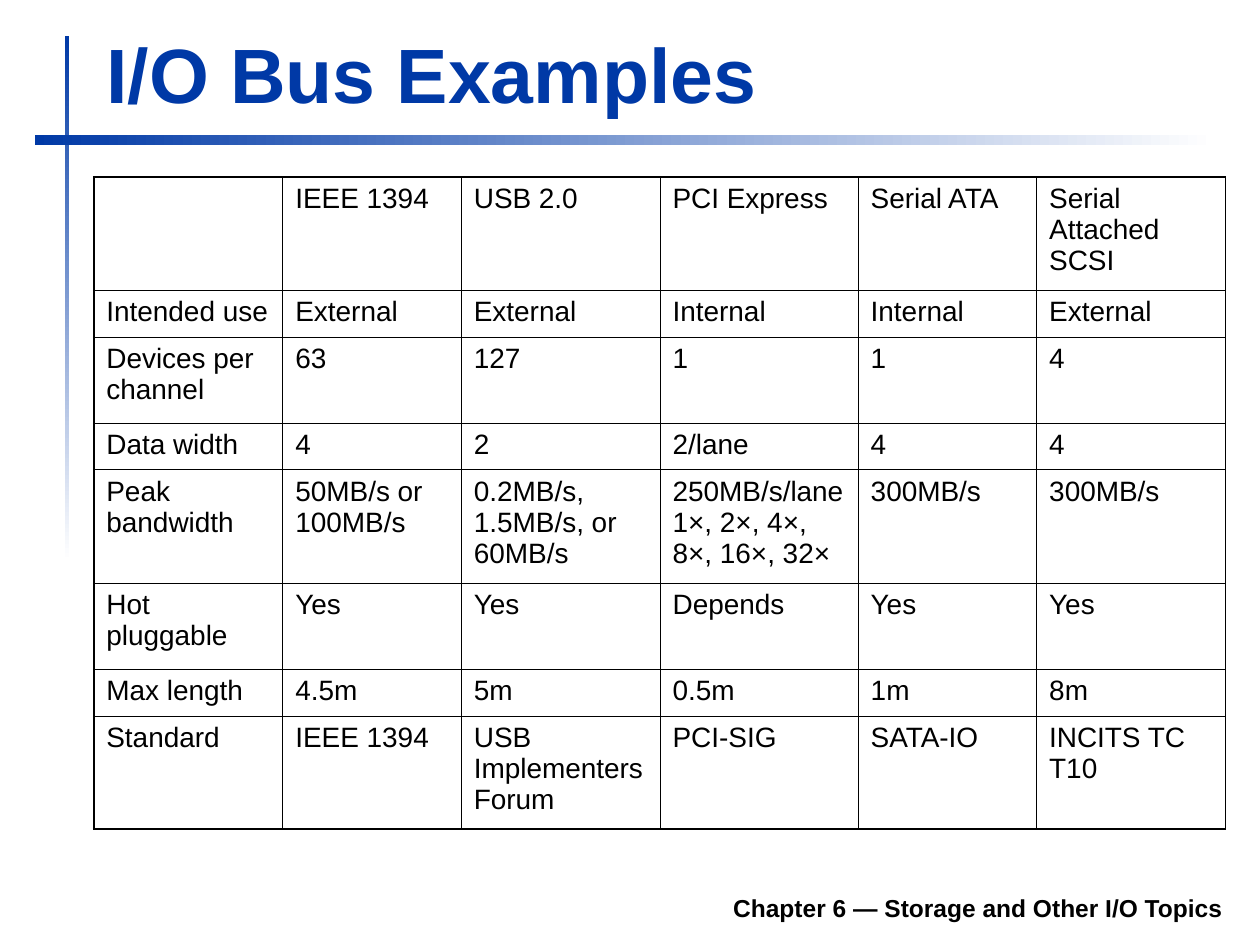
"""Build the I/O bus comparison slide."""
from pptx import Presentation
from pptx.dml.color import RGBColor
from pptx.enum.shapes import MSO_SHAPE
from pptx.enum.text import MSO_ANCHOR as ANCHOR, MSO_AUTO_SIZE as AUTO, PP_ALIGN as ALIGN
from pptx.oxml import parse_xml
from pptx.oxml.ns import nsdecls
from pptx.util import Pt

BLUE, WHITE, BLACK = "0039A6", "FFFFFF", "000000"


def rgb(value):
    return RGBColor.from_string(value)


def add_run(p, text, size, color, bold=False):
    r = p.add_run()
    r.text = text
    r.font.name = "Arial"
    r.font.size = Pt(size)
    r.font.bold = bold
    r.font.color.rgb = rgb(color)


prs = Presentation()
prs.slide_width, prs.slide_height = Pt(720), Pt(540)
s = prs.slides.add_slide(prs.slide_layouts[5])

bars = [
    ((37.1, 20.5, 2.6, 300), (BLUE, WHITE), 270),
    ((20, 77, 674.6, 5.8), (WHITE, BLUE), 180),
]
for box, colors, angle in bars:
    sp = s.shapes.add_shape(MSO_SHAPE.RECTANGLE, *map(Pt, box))
    sp.shadow.inherit = False
    sp.line.fill.background()
    sp.fill.gradient()
    sp.fill.gradient_angle = angle
    for stop, color in zip(sp.fill.gradient_stops, colors):
        stop.color.rgb = rgb(color)

title = s.shapes.title
title.left, title.top, title.width, title.height = map(Pt, (53.6, 11, 650, 60.5))
tf = title.text_frame
tf.auto_size = AUTO.NONE
tf.vertical_anchor = ANCHOR.BOTTOM
p = tf.paragraphs[0]
p.alignment = ALIGN.LEFT
add_run(p, "I/O Bus Examples", 44, BLUE, bold=True)

rows = [
    ["", "IEEE 1394", "USB 2.0", "PCI Express", "Serial ATA", "Serial Attached SCSI"],
    ["Intended use", "External", "External", "Internal", "Internal", "External"],
    ["Devices per channel", "63", "127", "1", "1", "4"],
    ["Data width", "4", "2", "2/lane", "4", "4"],
    ["Peak bandwidth", "50MB/s or 100MB/s", "0.2MB/s, 1.5MB/s, or 60MB/s",
     "250MB/s/lane\n1×, 2×, 4×, 8×, 16×, 32×", "300MB/s", "300MB/s"],
    ["Hot pluggable", "Yes", "Yes", "Depends", "Yes", "Yes"],
    ["Max length", "4.5m", "5m", "0.5m", "1m", "8m"],
    ["Standard", "IEEE 1394", "USB Implementers Forum", "PCI-SIG", "SATA-IO", "INCITS TC T10"],
]
widths = [108, 102, 113.6, 113.2, 102, 108]
heights = [64.8, 26.7, 49.2, 26.7, 64.8, 49.2, 26.7, 64.8]
OUTER, HEADER, INNER = 1.08, 0.75, 0.45
x_rules = [OUTER, HEADER] + [INNER] * (len(widths) - 2) + [OUTER]
y_rules = [OUTER, HEADER] + [INNER] * (len(heights) - 2) + [OUTER]

frame = s.shapes.add_table(len(heights), len(widths), Pt(53.6), Pt(101.1),
                           Pt(sum(widths)), Pt(sum(heights)))
table = frame.table
table.first_row = table.horz_banding = False
for column, width in zip(table.columns, widths):
    column.width = Pt(width)
for row, height in zip(table.rows, heights):
    row.height = Pt(height)

for i, texts in enumerate(rows):
    for j, text in enumerate(texts):
        cell = table.cell(i, j)
        tcPr = cell._tc.get_or_add_tcPr()
        rules = {"L": x_rules[j], "R": x_rules[j + 1], "T": y_rules[i], "B": y_rules[i + 1]}
        for side, weight in rules.items():
            tcPr.append(parse_xml(
                f'<a:ln{side} {nsdecls("a")} w="{Pt(weight)}"><a:solidFill>'
                f'<a:srgbClr val="{BLACK}"/></a:solidFill></a:ln{side}>'))
        cell.fill.background()
        p = cell.text_frame.paragraphs[0]
        for n, line in enumerate(text.split("\n") if text else []):
            if n:
                p.add_line_break()
            add_run(p, line, 16, BLACK)

footer = s.shapes.add_textbox(Pt(133.3), Pt(502.5), Pt(572.5), Pt(28))
tf = footer.text_frame
tf.word_wrap = True
tf.vertical_anchor = ANCHOR.BOTTOM
p = tf.paragraphs[0]
p.alignment = ALIGN.RIGHT
add_run(p, "Chapter 6 — Storage and Other I/O Topics", 14, BLACK, bold=True)

prs.save("out.pptx")
